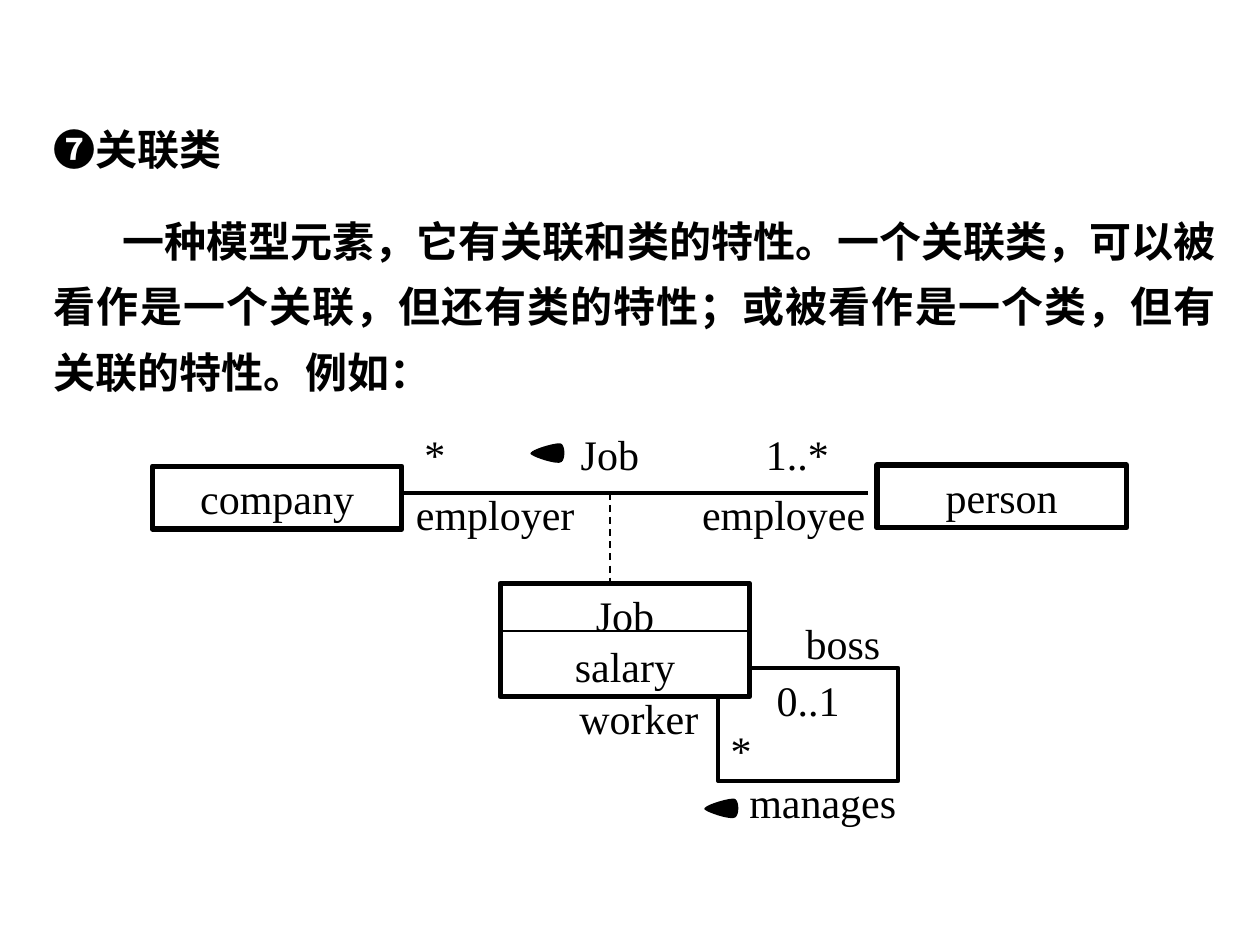
"""Build a slide that explains the UML association class."""
from lxml import etree
from pptx import Presentation
from pptx.dml.color import RGBColor
from pptx.enum.dml import MSO_LINE
from pptx.enum.shapes import MSO_CONNECTOR, MSO_SHAPE
from pptx.enum.text import MSO_ANCHOR, PP_ALIGN
from pptx.oxml.ns import qn
from pptx.util import Inches, Pt

LATIN, HAN, SYMBOL = "Times New Roman", "Noto Sans CJK SC", "Arial"
BLACK, WHITE = "000000", "FFFFFF"
CENTER, LEFT, JUSTIFY = PP_ALIGN.CENTER, PP_ALIGN.LEFT, PP_ALIGN.JUSTIFY
CLASS_W, ROW_H, BOX_H = 1.98, 0.5, 0.9
AXIS_Y = 3.91

HEADING = [("❼", SYMBOL, SYMBOL), ("关联类", HAN, HAN)]
DEFINITION = [(
    "一种模型元素，它有关联和类的特性。一个关联类，可以被看作是一个关联，"
    "但还有类的特性；或被看作是一个类，但有关联的特性。例如：", LATIN, HAN)]
BOXES = [
    (["company"], (1.21, 3.7, CLASS_W, ROW_H), 3, None, [CENTER]),
    (["person"], (6.96, 3.69, CLASS_W, ROW_H), 3, None, [CENTER]),
    (["0..1", "*"], (5.7, 5.3, 1.43, BOX_H), 2.25, None, [CENTER, LEFT]),
    (["Job", "salary"], (3.97, 4.63, CLASS_W, BOX_H), 3, WHITE, [CENTER, CENTER]),
]
LINES = [
    ((3.19, AXIS_Y), (6.89, AXIS_Y), 2.25, None),
    ((3.98, 5.01), (5.94, 5.01), 1, None),
    ((4.84, AXIS_Y), (4.84, 4.62), 1, MSO_LINE.DASH),
]
LABELS = [
    ("employer", (2.94, 3.83, CLASS_W, ROW_H)),
    ("employee", (5.23, 3.83, CLASS_W, ROW_H)),
    ("boss", (5.7, 4.85, CLASS_W, ROW_H)),
    ("manages", (5.54, 6.11, CLASS_W, ROW_H)),
    ("worker", (4.28, 5.45, 1.58, ROW_H)),
]
ENDS = ("*\tJob\t1..*", (3.27, 3.35, 3.62, ROW_H), (1.24, 2.71))
POINTERS = [(5.59, 6.33), (4.21, 3.51)]
POINTER_CURVES = [
    ((0.24, 0.01), (0.28, 0.02), (0.28, 0.15), (0.24, 0.16)),
    ((0.24, 0.16), (0.2, 0.18), (0, 0.11), (0, 0.09)),
    ((0, 0.09), (0, 0.06), (0.2, 0), (0.24, 0.01)),
]


def color(value):
    return RGBColor.from_string(value)


def inches(values):
    return [Inches(value) for value in values]


def write(paragraph, text, latin=LATIN, han=HAN, bold=False, align=CENTER,
          before=0, spacing=None, indent=0, tabs=()):
    """Add a run of text to a paragraph and format both."""
    properties = paragraph._p.get_or_add_pPr()
    if indent:
        properties.set("indent", str(Inches(indent)))
    if tabs:
        stops = etree.SubElement(properties, qn("a:tabLst"))
        for stop in tabs:
            etree.SubElement(stops, qn("a:tab"), pos=str(Inches(stop)), algn="l")
    paragraph.alignment = align
    if before:
        paragraph.space_before = Pt(before)
    if spacing:
        paragraph.line_spacing = spacing
    run = paragraph.add_run()
    run.text = text
    font = run.font
    font.name, font.size, font.bold = latin, Pt(24), bold
    font.color.rgb = color(BLACK)
    etree.SubElement(run._r.get_or_add_rPr(), qn("a:ea"), typeface=han)


def text_frame(shape, anchor=MSO_ANCHOR.MIDDLE):
    frame = shape.text_frame
    frame.word_wrap = True
    frame.vertical_anchor = anchor
    return frame


def add_intro(shapes):
    box = shapes.add_textbox(*inches((0.33, 0.93, 9.42, 2.27)))
    frame = text_frame(box, MSO_ANCHOR.TOP)
    for text, latin, han in HEADING:
        write(frame.paragraphs[0], text, latin, han, bold=True, align=JUSTIFY)
    for text, latin, han in DEFINITION:
        write(frame.add_paragraph(), text, latin, han, bold=True, align=JUSTIFY,
              before=15, spacing=1.3, indent=0.54)


def add_box(shapes, rows, place, weight, fill, aligns):
    box = shapes.add_shape(MSO_SHAPE.RECTANGLE, *inches(place))
    box.shadow.inherit = False
    if fill:
        box.fill.solid()
        box.fill.fore_color.rgb = color(fill)
    else:
        box.fill.background()
    box.line.color.rgb = color(BLACK)
    box.line.width = Pt(weight)
    frame = text_frame(box)
    for index, (row, align) in enumerate(zip(rows, aligns)):
        paragraph = frame.add_paragraph() if index else frame.paragraphs[0]
        write(paragraph, row, align=align)


def add_line(shapes, start, end, weight, dash):
    line = shapes.add_connector(MSO_CONNECTOR.STRAIGHT, *inches(start + end))
    line.line.color.rgb = color(BLACK)
    line.line.width = Pt(weight)
    if dash:
        line.line.dash_style = dash
    etree.SubElement(line._element.spPr, qn("a:effectLst"))


def add_label(shapes, text, place, **formats):
    box = shapes.add_textbox(*inches(place))
    write(text_frame(box).paragraphs[0], text, **formats)


def curve_point(curve, t):
    weights = ((1 - t) ** 3, 3 * t * (1 - t) ** 2, 3 * t * t * (1 - t), t ** 3)
    return [sum(w * point[axis] for w, point in zip(weights, curve)) for axis in (0, 1)]


def add_pointer(shapes, left, top, steps=12):
    points = [inches((left + x, top + y)) for curve in POINTER_CURVES
              for x, y in (curve_point(curve, step / steps) for step in range(steps))]
    builder = shapes.build_freeform(*points[0])
    builder.add_line_segments(points[1:], close=True)
    pointer = builder.convert_to_shape()
    pointer.shadow.inherit = False
    pointer.fill.solid()
    pointer.fill.fore_color.rgb = color(BLACK)
    pointer.line.fill.background()


def main():
    deck = Presentation()
    deck.slide_width, deck.slide_height = inches((10, 7.5))
    shapes = deck.slides.add_slide(deck.slide_layouts[6]).shapes
    add_intro(shapes)
    for box in BOXES:
        add_box(shapes, *box)
    for line in LINES:
        add_line(shapes, *line)
    for label in LABELS:
        add_label(shapes, *label)
    text, place, tabs = ENDS
    add_label(shapes, text, place, align=LEFT, tabs=tabs)
    for pointer in POINTERS:
        add_pointer(shapes, *pointer)
    deck.save("out.pptx")


if __name__ == "__main__":
    main()
